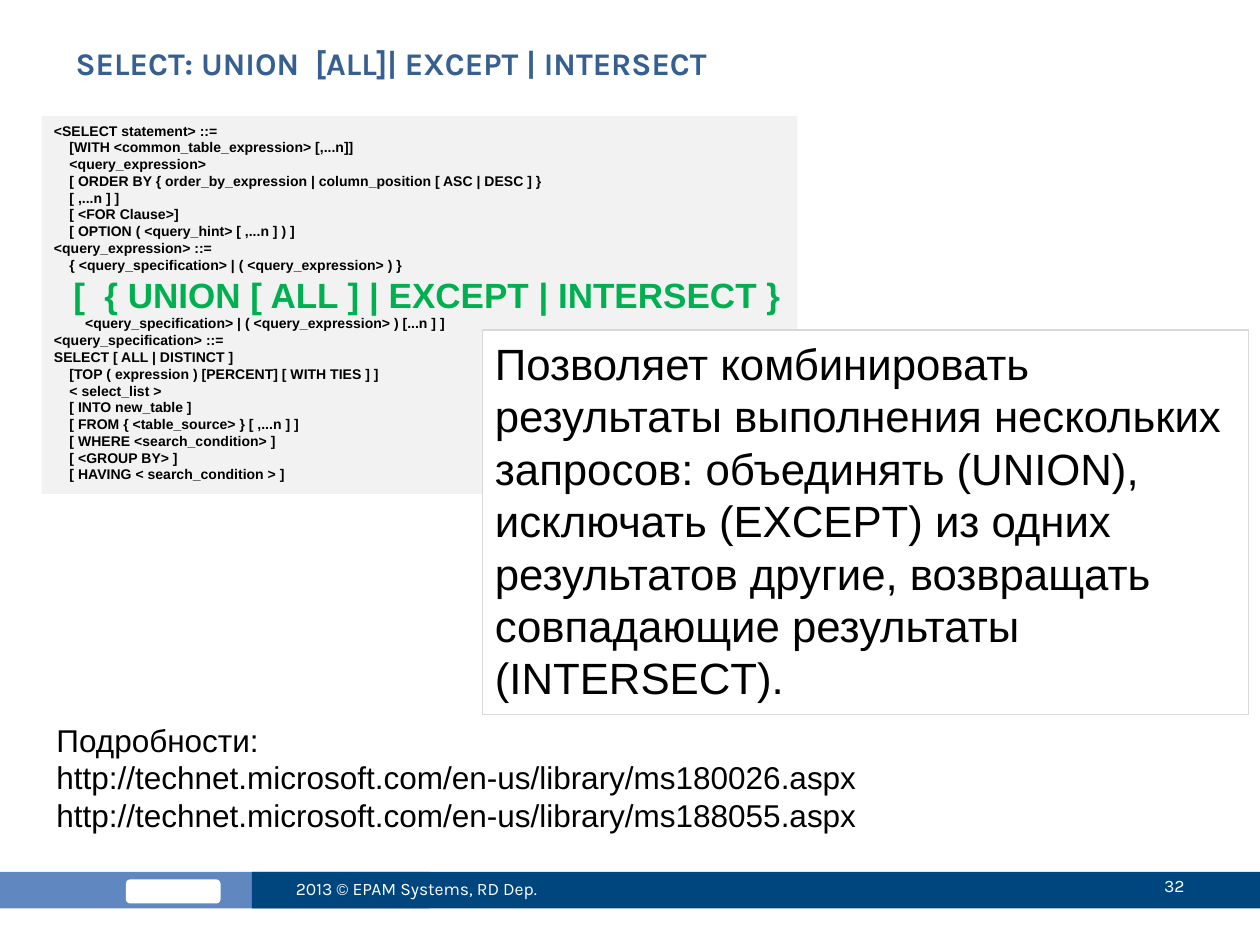
from pptx import Presentation
from pptx.dml.color import RGBColor
from pptx.enum.shapes import MSO_SHAPE as Shape
from pptx.enum.text import MSO_ANCHOR as Anchor, MSO_AUTO_SIZE as AutoSize, PP_ALIGN as Align
from pptx.util import Inches, Pt

COLORS = {
    "title": "376092",
    "light_blue": "6087BF",
    "dark_blue": "00467E",
    "panel": "F2F2F2",
    "border": "D9D9D9",
    "accent": "00B050",
    "text": "000000",
    "white": "FFFFFF",
}

SYNTAX_START = """<SELECT statement> ::=
    [WITH <common_table_expression> [,...n]]
    <query_expression>
    [ ORDER BY { order_by_expression | column_position [ ASC | DESC ] }
    [ ,...n ] ]
    [ <FOR Clause>]
    [ OPTION ( <query_hint> [ ,...n ] ) ]
<query_expression> ::=
    { <query_specification> | ( <query_expression> ) }"""
SET_OPERATORS = "  [  { UNION [ ALL ] | EXCEPT | INTERSECT }"
SYNTAX_END = """        <query_specification> | ( <query_expression> ) [...n ] ]
<query_specification> ::=
SELECT [ ALL | DISTINCT ]
    [TOP ( expression ) [PERCENT] [ WITH TIES ] ]
    < select_list >
    [ INTO new_table ]
    [ FROM { <table_source> } [ ,...n ] ]
    [ WHERE <search_condition> ]
    [ <GROUP BY> ]
    [ HAVING < search_condition > ]"""
EXPLANATION = (
    "Позволяет комбинировать результаты выполнения нескольких запросов: "
    "объединять (UNION), исключать (EXCEPT) из одних результатов другие, "
    "возвращать совпадающие результаты (INTERSECT)."
)
DETAILS = """Подробности:
http://technet.microsoft.com/en-us/library/ms180026.aspx
http://technet.microsoft.com/en-us/library/ms188055.aspx"""


def color(name):
    return RGBColor.from_string(COLORS[name])


class SlideBuilder:
    heading_font = "Karla"
    body_font = "Arial"

    def __init__(self, presentation):
        self.slide = presentation.slides.add_slide(presentation.slide_layouts[5])

    def fill_text(self, shape, text, size, font=body_font, ink="text", bold=False,
                  align=Align.LEFT, anchor=Anchor.TOP):
        frame = shape.text_frame
        frame.text = text
        frame.word_wrap = True
        frame.auto_size = AutoSize.NONE
        frame.vertical_anchor = anchor
        for paragraph in frame.paragraphs:
            paragraph.alignment = align
            self.style(paragraph, size, ink, bold, font)

    def style(self, paragraph, size, ink, bold=False, font=body_font):
        paragraph.font.size = Pt(size)
        paragraph.font.name = font
        paragraph.font.bold = bold
        paragraph.font.color.rgb = color(ink)

    def title(self, text, left, top, width, height):
        heading = self.slide.shapes.title
        heading.left, heading.top = Inches(left), Inches(top)
        heading.width, heading.height = Inches(width), Inches(height)
        self.fill_text(heading, text, 18, self.heading_font, "title", bold=True)

    def panel(self, left, top, width, height, fill, border=None, kind=Shape.RECTANGLE):
        panel = self.slide.shapes.add_shape(
            kind, Inches(left), Inches(top), Inches(width), Inches(height))
        panel.shadow.inherit = False
        panel.fill.solid()
        panel.fill.fore_color.rgb = color(fill)
        if border:
            panel.line.color.rgb = color(border)
            panel.line.width = Pt(0.75)
        else:
            panel.line.fill.background()
        return panel

    def text(self, text, left, top, width, height, size, **style):
        box = self.slide.shapes.add_textbox(
            Inches(left), Inches(top), Inches(width), Inches(height))
        self.fill_text(box, text, size, **style)

    def footer_text(self, text, left, top, width, align=Align.LEFT):
        self.text(text, left, top, width, 0.4, 10, font=self.heading_font,
                  ink="white", align=align, anchor=Anchor.MIDDLE)


def main():
    presentation = Presentation()
    presentation.slide_width, presentation.slide_height = Inches(10), Inches(7.5)
    builder = SlideBuilder(presentation)

    builder.panel(-0.02, 6.92, 3.43, 0.29, "light_blue")
    builder.panel(1, 6.98, 0.75, 0.19, "white", kind=Shape.ROUNDED_RECTANGLE)
    builder.panel(2, 6.92, 8, 0.29, "dark_blue")
    builder.title("SELECT: UNION  [ALL]| EXCEPT | INTERSECT", 0.5, 0.3, 9, 0.78)
    builder.footer_text("2013 © EPAM Systems, RD Dep.", 2.25, 6.85, 2.67)
    builder.footer_text("32", 8.42, 6.83, 1.08, Align.RIGHT)

    syntax = builder.panel(0.33, 0.92, 6, 3, "panel")
    builder.fill_text(syntax, "\n".join([SYNTAX_START, SET_OPERATORS, SYNTAX_END]), 8, bold=True)
    operators_line = syntax.text_frame.paragraphs[len(SYNTAX_START.splitlines())]
    builder.style(operators_line, 20, "accent", bold=True)

    explanation = builder.panel(3.83, 2.62, 6.08, 3.05, "white", "border")
    builder.fill_text(explanation, EXPLANATION, 25)
    builder.text(DETAILS, 0.35, 5.67, 9.07, 1.01, 18)

    presentation.save("out.pptx")


if __name__ == "__main__":
    main()
